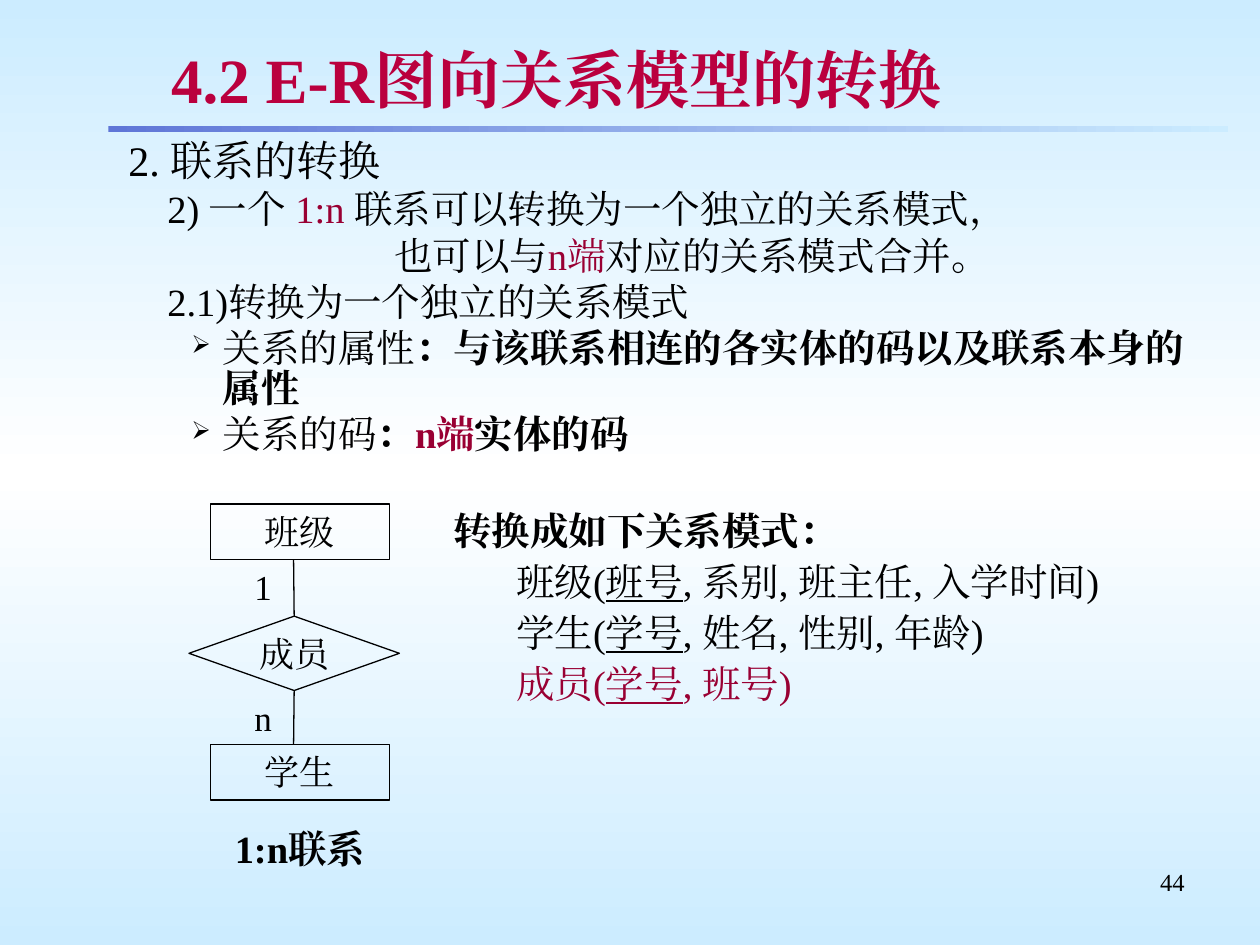
from copy import deepcopy

from lxml.etree import SubElement
from pptx import Presentation
from pptx.dml.color import RGBColor
from pptx.enum.lang import MSO_LANGUAGE_ID as Language
from pptx.enum.shapes import MSO_CONNECTOR as Connector, MSO_SHAPE as Shape
from pptx.enum.text import MSO_ANCHOR as Anchor, PP_ALIGN as Align
from pptx.oxml.ns import qn
from pptx.util import Inches, Pt

BLACK = RGBColor(0x00, 0x00, 0x00)
WHITE = RGBColor(0xFF, 0xFF, 0xFF)
SKY = RGBColor(0xCC, 0xEC, 0xFF)
BLUE = RGBColor(0x5F, 0x76, 0xD7)
CRIMSON = RGBColor(0xBA, 0x00, 0x3E)
WINE = RGBColor(0x99, 0x00, 0x33)
FONT = "Times New Roman"

BOLD = {"bold": True}
KEY = {"underline": True}
RED = {"color": WINE}
RED_BOLD = RED | BOLD
RED_KEY = RED | KEY

# Each paragraph: left margin, first-line indent, extra settings, spans
BODY = [
    (0.81, -0.31, {"size": 24}, [("2. 联系的转换", {})]),
    (0.81, 0, {}, [("2) 一个 ", {}), ("1:n ", RED),
                   ("联系可以转换为一个独立的关系模式，", {})]),
    (2.61, 0, {}, [("也可以与", {}), ("n端", RED), ("对应的关系模式合并。", {})]),
    (0.81, 0, {}, [("2.1)转换为一个独立的关系模式", {})]),
    (1.25, -0.25, {"bullet": "➢"},
     [("关系的属性", {}), ("：与该联系相连的各实体的码以及联系本身的属性", BOLD)]),
    (1.25, -0.25, {"bullet": "➢"},
     [("关系的码", {}), ("：", BOLD), ("n端", RED_BOLD), ("实体的码", BOLD)]),
]
SCHEMAS = [
    (0.38, -0.38, {}, [("转换成如下关系模式：", BOLD)]),
    (0.81, -0.31, {}, [("班级(", {}), ("班号", KEY), (", 系别, 班主任, 入学时间)", {})]),
    (0.81, -0.31, {}, [("学生(", {}), ("学号", KEY), (", 姓名, 性别, 年龄)", {})]),
    (0.81, -0.31, {}, [("成员(", RED), ("学号", RED_KEY), (", 班号)", RED)]),
]


def add_span(para, text, size, color=BLACK, **formats):
    span = para.add_run()
    span.text = text
    values = {"name": FONT, "size": Pt(size),
              "language_id": Language.SIMPLIFIED_CHINESE} | formats
    for name, value in values.items():
        setattr(span.font, name, value)
    span.font.color.rgb = color
    SubElement(span.font._element, qn("a:ea"), typeface=FONT)
    return span


def add_bullet(para, symbol):
    props = para._p.get_or_add_pPr()
    tint = SubElement(props, qn("a:buClr"))
    SubElement(tint, qn("a:srgbClr"), val=str(BLACK))
    SubElement(props, qn("a:buSzPct"), val="65000")
    SubElement(props, qn("a:buChar"), char=symbol)


def add_box(page, left, top, width, height):
    box = page.shapes.add_textbox(*map(Inches, (left, top, width, height)))
    box.text_frame.word_wrap = True
    return box


def add_label(page, area, text, size, align=Align.LEFT, **formats):
    box = add_box(page, *area)
    para = box.text_frame.paragraphs[0]
    para.alignment = align
    return box, add_span(para, text, size, **formats)


def add_outline(page, area, items, spacing):
    """Add a text box of indented paragraphs."""
    frame = add_box(page, *area).text_frame
    for index, (margin, indent, extra, spans) in enumerate(items):
        para = frame.add_paragraph() if index else frame.paragraphs[0]
        props = para._p.get_or_add_pPr()
        props.set("marL", str(Inches(margin)))
        props.set("indent", str(Inches(indent)))
        if "bullet" in extra:
            add_bullet(para, extra["bullet"])
        para.line_spacing = spacing
        para.space_before = Pt(4.1 if index else 0)
        for text, formats in spans:
            add_span(para, text, extra.get("size", 22), **formats)


def add_node(page, kind, area, text, **frame_formats):
    """Add an outlined shape of the E-R diagram."""
    node = page.shapes.add_shape(kind, *map(Inches, area))
    node.shadow.inherit = False
    node.fill.background()
    node.line.color.rgb = BLACK
    node.line.width = Pt(0.75)
    for name, value in frame_formats.items():
        setattr(node.text_frame, name, value)
    para = node.text_frame.paragraphs[0]
    para.alignment = Align.CENTER
    add_span(para, text, 20)
    return node


def add_link(page, diamond, site, start, end):
    line = page.shapes.add_connector(
        Connector.STRAIGHT, *map(Inches, (2.33, start, 2.33, end)))
    line.begin_connect(diamond, site)
    line.line.color.rgb = BLACK
    line.line.width = Pt(0.75)
    SubElement(line._element.spPr, qn("a:effectLst"))


def add_diagram(page):
    boxed = {"vertical_anchor": Anchor.TOP, "word_wrap": True}
    for top, text in ((4, "班级"), (5.91, "学生")):
        add_node(page, Shape.RECTANGLE, (1.67, top, 1.42, 0.44), text, **boxed)
    diamond = add_node(page, Shape.DIAMOND, (1.5, 4.89, 1.67, 0.59), "成员",
                       vertical_anchor=Anchor.MIDDLE, word_wrap=False)
    add_link(page, diamond, 0, 4.89, 4.44)
    add_link(page, diamond, 2, 5.48, 5.91)
    for top, text in ((4.44, "1"), (5.48, "n")):
        add_label(page, (1.92, top, 0.42, 0.44), text, 20)
    add_label(page, (1.67, 6.5, 1.42, 0.47), "1:n联系", 22, Align.CENTER, bold=True)


def set_gradient(fill, colors, angle):
    fill.gradient()
    fill.gradient_angle = angle
    stops = fill.gradient_stops
    first = stops[0]._gs
    for _ in range(len(colors) - len(stops)):
        first.addnext(deepcopy(first))
    for index, (stop, color) in enumerate(zip(fill.gradient_stops, colors)):
        stop.color.rgb = color
        stop.position = index / (len(colors) - 1)


def add_title(page):
    box, span = add_label(page, (1.26, 0.29, 8.24, 0.67), "4.2 E-R图向关系模型的转换",
                          36, color=CRIMSON, bold=True)
    frame = box.text_frame
    frame.vertical_anchor = Anchor.MIDDLE
    frame.margin_top = frame.margin_bottom = Inches(0.04)
    props = span.font._element
    effects = SubElement(props, qn("a:effectLst"))
    shadow = SubElement(effects, qn("a:outerShdw"), dist="25400", dir="2700000")
    SubElement(shadow, qn("a:srgbClr"), val="C0C0C0")
    props.find(qn("a:solidFill")).addnext(effects)

    rule = page.shapes.add_shape(
        Shape.RECTANGLE, *map(Inches, (0.86, 1, 8.89, 0.05)))
    rule.shadow.inherit = False
    rule.line.fill.background()
    set_gradient(rule.fill, [BLUE, SKY], 0)


def main():
    deck = Presentation()
    deck.slide_width, deck.slide_height = Inches(10), Inches(7.5)
    page = deck.slides.add_slide(deck.slide_layouts[6])
    set_gradient(page.background.fill, [SKY, WHITE, SKY], 270)
    add_title(page)
    add_outline(page, (0.42, 1.08, 9.25, 2.83), BODY, 0.85)
    add_diagram(page)
    add_outline(page, (3.5, 4, 5.5, 3), SCHEMAS, 0.95)
    add_label(page, (7.17, 6.83, 2.33, 0.52), "44", 14, Align.RIGHT)
    deck.save("out.pptx")


if __name__ == "__main__":
    main()
